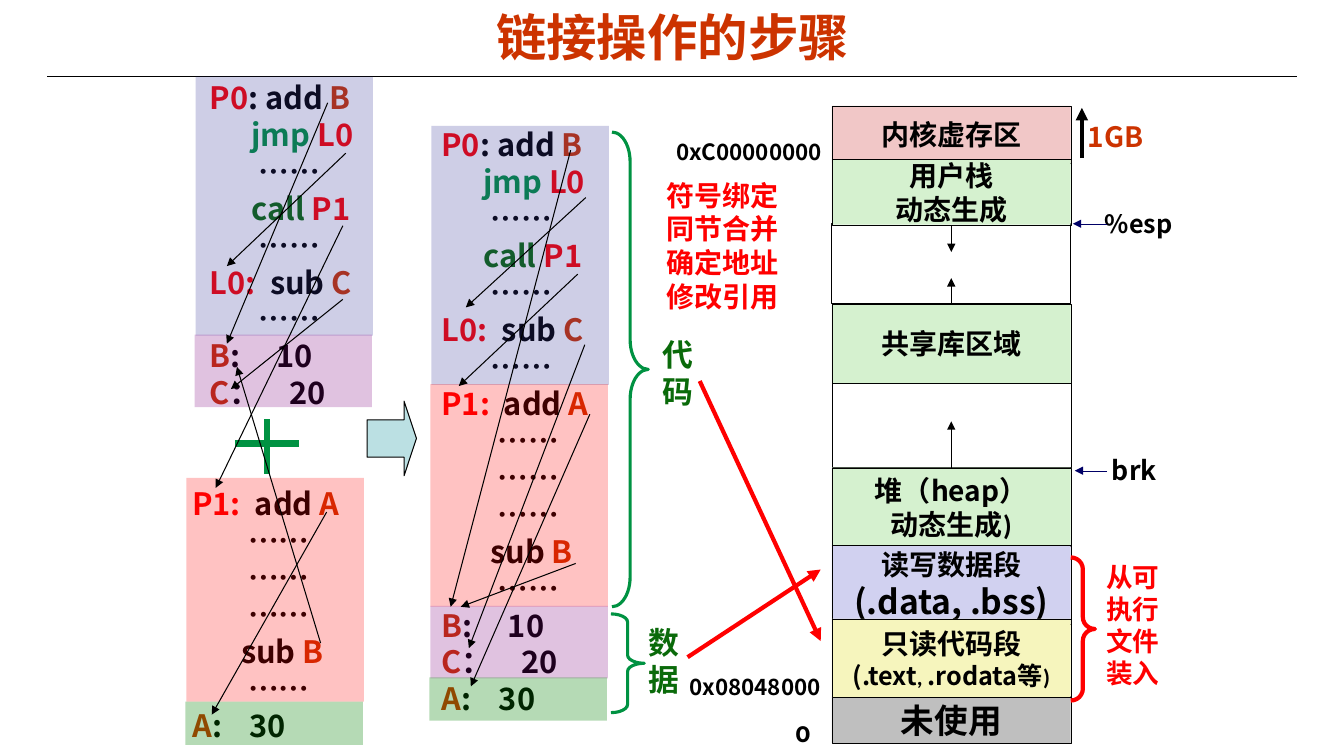
"""Build the slide on the steps of linking object modules into a process image."""
import pptx
import pptx.dml.color
import pptx.enum.shapes
import pptx.enum.text
import pptx.oxml
import pptx.oxml.ns
import pptx.util

Inches = pptx.util.Inches
Pt = pptx.util.Pt
PRESET = pptx.enum.shapes.MSO_SHAPE
ALIGN = pptx.enum.text.PP_ALIGN
ANCHOR = pptx.enum.text.MSO_ANCHOR
NOTO = "Noto Sans CJK SC"

BLACK, WHITE, RED, ORANGE = "000000", "FFFFFF", "FF0000", "CC3300"
GREEN, DARK_GREEN, NAVY = "009242", "0A6A0A", "000066"
PURPLE_DATA, GREEN_DATA = ("800080", 24), ("008000", 29)
BLUE_CODE, RED_CODE = ("333399", 24), ("FF0000", 24)

TITLE = "链接操作的步骤"
DOTS = (0, [("       ……", BLACK)])
WIDE_DOTS = (0, [("        ……", BLACK)])
P0_CODE = [
    (0, [("P0", RED), (": add ", BLACK), ("B", ORANGE)]),
    (0, [("      jmp ", GREEN), ("L0", RED)]),
    DOTS,
    (0, [("      call ", DARK_GREEN), ("P1", RED)]),
    DOTS,
    (0.6, [("L0:\t", RED), ("sub ", BLACK), ("C", ORANGE)]),
    DOTS,
]
P0_DATA = [
    (0.66, [("B", ORANGE), (":\t10", BLACK)]),
    (0.79, [("C", ORANGE), ("：\t20", BLACK)]),
]
P1_CODE = [
    (0.62, [("P1:\t", RED), ("add ", BLACK), ("A", ORANGE)]),
    WIDE_DOTS, WIDE_DOTS, WIDE_DOTS,
    (0, [("       sub ", BLACK), ("B", ORANGE)]),
    WIDE_DOTS,
]
P1_DATA = [(0.57, [("A", ORANGE), (":\t30", BLACK)])]

MODULES = [
    ((4.28, 1.2, 2.05, 6.02), P0_CODE + P1_CODE + P0_DATA + P1_DATA,
     [(4.28, 1.25, 2.57, BLUE_CODE), (4.27, 3.81, 2.21, RED_CODE),
      (4.27, 6.01, 0.72, PURPLE_DATA), (4.26, 6.72, 0.43, GREEN_DATA)]),
    ((1.81, 4.76, 1.9, 2.69), P1_CODE + P1_DATA,
     [(1.85, 4.74, 2.22, RED_CODE), (1.84, 6.96, 0.43, GREEN_DATA)]),
    ((1.98, 0.73, 2.05, 3.43), P0_CODE + P0_DATA,
     [(1.94, 0.76, 2.57, BLUE_CODE), (1.93, 3.32, 0.72, PURPLE_DATA)]),
]
SECTION_WIDTH = 1.76

REFERENCES = [
    (5.66, 1.49, 4.47, 6.02), (5.71, 5.59, 4.57, 6.02), (5.85, 4.11, 4.67, 6.81),
    (5.8, 3.42, 4.65, 6.43), (5.81, 1.96, 4.62, 3.05), (5.73, 2.72, 4.55, 3.83),
    (3.4, 2.24, 2.14, 4.84), (3.25, 1.02, 2.25, 3.41), (3.43, 1.52, 2.25, 2.64),
    (3.4, 2.97, 2.29, 3.86), (3.24, 5.08, 2.1, 7.09), (3.18, 6.38, 2.35, 3.64),
]
PLUS_STROKES = [(2.33, 4.4, 2.97, 4.4), (2.65, 4.16, 2.65, 4.7)]
LOADING = [(6.94, 3.78, 8.14, 6.36), (6.82, 6.52, 8.14, 5.65)]
POINTERS = [(10.98, 2.22, 10.64, 2.22), (10.98, 4.67, 10.66, 4.67)]

BRACES = [
    ((6.07, 1.31, 0.36, 4.71), 0.823, GREEN, 2.25),
    ((6.06, 6.09, 0.33, 0.98), 0.246, GREEN, 2.25),
    ((10.62, 5.53, 0.24, 1.42), 0.486, RED, 3),
]

MEMORY_LEFT, MEMORY_WIDTH = 8.25, 2.37
MEMORY = {
    "stack gap": (2.22, 0.79, WHITE, []),
    "kernel": (1.05, 0.57, "F1C7C7", [[("内核虚存区", {})]]),
    "shared": (3.02, 0.78, "D5F1CF", [[("共享库区域", {})]]),
    "heap gap": (3.8, 0.84, WHITE, []),
    "heap": (4.64, 0.78, "D5F1CF",
             [[("堆（heap）", {})], [("动态生成", {}), (")", {"font": "Calibri"})]]),
    "stack": (1.58, 0.65, "D5F1CF",
              [[("用户栈", {})], [("动态生成", {"font": "Calibri"})]]),
    "unused": (6.91, 0.46, "BFBFBF", [[("未使用", {"size": 24})]]),
    "data": (5.41, 0.78, "D1D1F0",
             [[("读写数据段", {})], [("(.data, .bss)", {"size": 24})]]),
    "code": (6.14, 0.78, "F6F5BD",
             [[("只读代码段", {})],
              [("(.text", {"size": 18}), (", ", {"size": 16, "font": "Calibri"}),
               (".rodata等", {"size": 18}), (")", {"size": 16, "font": "Calibri"})]]),
}
GROWTH = [("heap", 0, 4.18), ("shared", 0, 2.76), ("stack", 2, 2.5)]

LABELS = [
    ((6.47, 3.28, 0.52, 0.84), ["代码"], 0.1, True, {"size": 22, "font": "Arial", "color": DARK_GREEN}),
    ((6.33, 6.14, 0.7, 0.84), ["数据"], 0.1, True, {"size": 22, "font": "Arial", "color": DARK_GREEN}),
    ((10.96, 2.02, 0.8, 0.38), ["%esp"], 0, True, {"size": 18}),
    ((10.93, 4.45, 0.65, 0.4), ["brk"], 0.1, False, {"size": 19}),
    ((6.61, 1.32, 1.73, 0.36), ["0xC00000000"], 0.1, False, {"size": 16}),
    ((6.74, 6.63, 1.58, 0.36), ["0x08048000"], 0.1, False, {"size": 16}),
    ((7.79, 7.1, 0.35, 0.37), ["0"], 0.1, False, {"size": 16, "font": "Montserrat"}),
    ((10.97, 5.52, 0.56, 1.36), ["从可执行文件装入"], 0, True, {"size": 19, "font": "Calibri", "color": RED}),
    ((10.79, 1.14, 0.6, 0.44), ["1GB"], 0, True, {"size": 20, "color": ORANGE}),
    ((6.51, 1.72, 1.43, 1.45), ["符号绑定", "同节合并", "确定地址", "修改引用"], 0.1, True,
     {"size": 20, "font": "Arial", "color": RED}),
]


def rgb(hex_color):
    return pptx.dml.color.RGBColor.from_string(hex_color)


def add_child(parent, tag, **attributes):
    child = pptx.oxml.parse_xml(f"<a:{tag} {pptx.oxml.ns.nsdecls('a')}/>")
    for key, value in attributes.items():
        child.set(key, str(value))
    parent.append(child)
    return child


def add_run(paragraph, text, size=20, font=NOTO, color=BLACK):
    run = paragraph.add_run()
    run.text = text
    run.font.size = Pt(size)
    run.font.bold = True
    run.font.color.rgb = rgb(color)
    run.font.name = font
    add_child(run.font._element, "ea", typeface=NOTO)


def write(frame, lines, align=ALIGN.LEFT, tabs=(), size=20, **style):
    for number, line in enumerate(lines):
        paragraph = frame.paragraphs[0] if number == 0 else frame.add_paragraph()
        paragraph.alignment = align
        largest = max(changes.get("size", size) for _, changes in line)
        paragraph.line_spacing = Pt(round(largest * 1.2, 1))
        if tabs and tabs[number]:
            stops = add_child(paragraph._p.get_or_add_pPr(), "tabLst")
            add_child(stops, "tab", pos=int(Inches(tabs[number])), algn="l")
        for text, changes in line:
            add_run(paragraph, text, **{"size": size, **style, **changes})


def add_label(slide, box, lines, margin=0.1, wrap=True, **style):
    frame = slide.shapes.add_textbox(*map(Inches, box)).text_frame
    frame.word_wrap = wrap
    frame.margin_left = frame.margin_right = Inches(margin)
    write(frame, lines, **style)


def add_block(slide, preset, box, fill=None, opacity=100, line=None, weight=0.75):
    block = slide.shapes.add_shape(preset, *map(Inches, box))
    block.shadow.inherit = False
    if fill:
        block.fill.solid()
        block.fill.fore_color.rgb = rgb(fill)
        if opacity < 100:
            color = block._element.spPr.find(".//" + pptx.oxml.ns.qn("a:srgbClr"))
            add_child(color, "alpha", val=opacity * 1000)
    else:
        block.fill.background()
    if line:
        block.line.color.rgb = rgb(line)
        block.line.width = Pt(weight)
    else:
        block.line.fill.background()
    return block


def add_line(slide, ends, color=BLACK, weight=0.75, arrow=True):
    straight = pptx.enum.shapes.MSO_CONNECTOR.STRAIGHT
    line = slide.shapes.add_connector(straight, *map(Inches, ends))
    line.line.color.rgb = rgb(color)
    line.line.width = Pt(weight)
    if arrow:
        add_child(line.line._get_or_add_ln(), "tailEnd", type="triangle")
    add_child(line._element.spPr, "effectLst")
    return line


def main():
    deck = pptx.Presentation()
    deck.slide_width, deck.slide_height = Inches(13.33), Inches(7.5)
    slide = deck.slides.add_slide(deck.slide_layouts[5])

    add_line(slide, (0.47, 0.76, 12.86, 0.76), arrow=False)
    title = slide.shapes.title
    title.left, title.top, title.width, title.height = map(Inches, (0.67, 0.06, 12, 0.61))
    title.text_frame.vertical_anchor = ANCHOR.MIDDLE
    write(title.text_frame, [[(TITLE, {})]], align=ALIGN.CENTER, size=36, font="Arial", color=ORANGE)

    add_block(slide, PRESET.RIGHT_ARROW, (3.64, 3.98, 0.49, 0.74), "BBE0E3", line=BLACK).adjustments[1] = 0.25

    for box, code, sections in MODULES:
        lines = [[(text, {"color": color}) for text, color in runs] for _, runs in code]
        add_label(slide, box, lines, tabs=[tab for tab, _ in code], size=22)
        for left, top, height, (fill, opacity) in sections:
            add_block(slide, PRESET.RECTANGLE, (left, top, SECTION_WIDTH, height), fill, opacity)

    segments = {}
    for name, (top, height, fill, lines) in MEMORY.items():
        segment = add_block(slide, PRESET.RECTANGLE, (MEMORY_LEFT, top, MEMORY_WIDTH, height),
                            fill, line=BLACK, weight=0.75 if name == "stack gap" else 0.25)
        segment.text_frame.word_wrap = False
        segment.text_frame.vertical_anchor = ANCHOR.MIDDLE
        write(segment.text_frame, lines, align=ALIGN.CENTER)
        segments[name] = segment

    middle = MEMORY_LEFT + MEMORY_WIDTH / 2
    for name, side, tip in GROWTH:
        add_line(slide, (middle, tip, middle, tip), weight=0.25).begin_connect(segments[name], side)

    for box, curve, color, weight in BRACES:
        add_block(slide, PRESET.RIGHT_BRACE, box, line=color, weight=weight).adjustments[0] = curve
    for box, texts, margin, wrap, style in LABELS:
        add_label(slide, box, [[(text, {})] for text in texts], margin, wrap, **style)

    for ends in PLUS_STROKES:
        add_line(slide, ends, GREEN, 4.5, arrow=False)
    for ends in POINTERS:
        add_line(slide, ends, NAVY, 0.25)
    add_line(slide, (10.73, 1.57, 10.73, 1.07), weight=3)
    for ends in LOADING:
        add_line(slide, ends, RED, 3)
    for ends in REFERENCES:
        add_line(slide, ends)
    deck.save("out.pptx")


if __name__ == "__main__":
    main()
